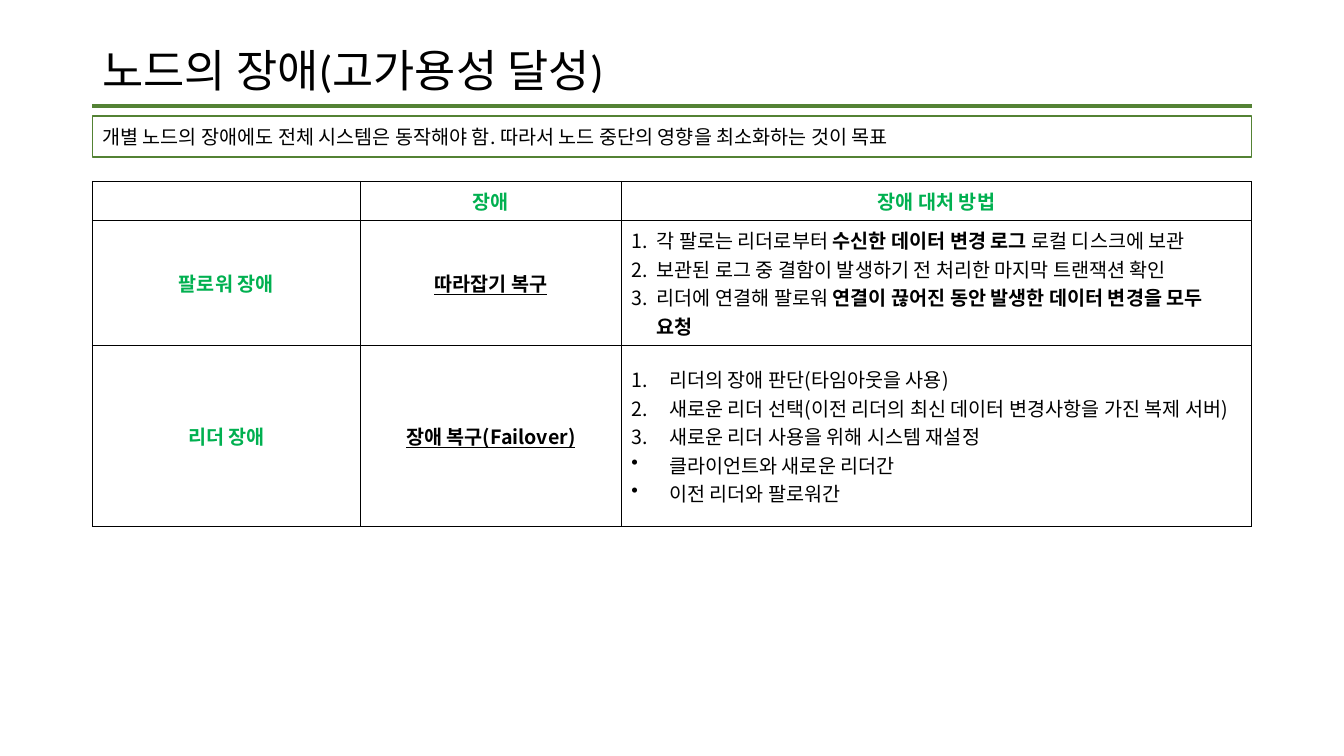
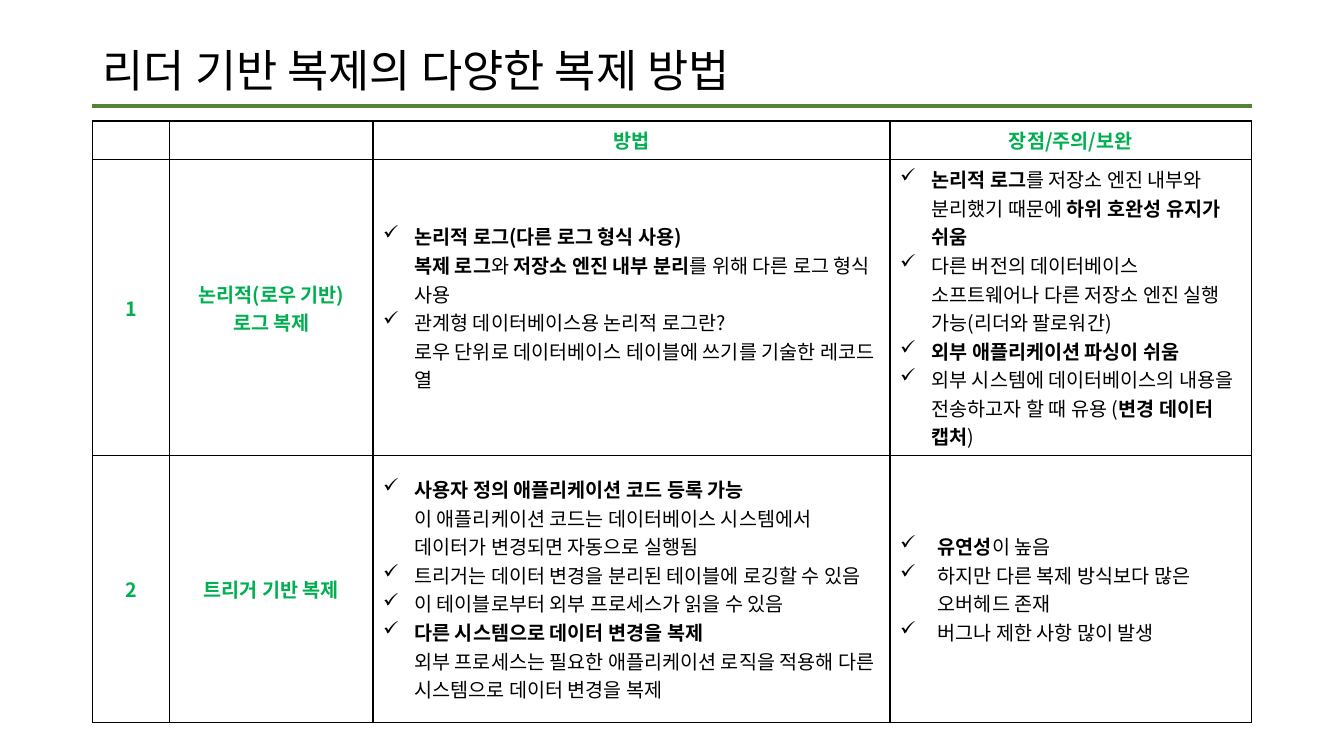
from lxml import etree
from pptx import Presentation
from pptx.dml.color import RGBColor
from pptx.enum.shapes import MSO_CONNECTOR, MSO_SHAPE
from pptx.enum.text import MSO_ANCHOR, PP_ALIGN
from pptx.oxml.ns import qn
from pptx.util import Cm, Pt

LEFT, CENTER = PP_ALIGN.LEFT, PP_ALIGN.CENTER
MIDDLE = MSO_ANCHOR.MIDDLE
STRAIGHT, RECTANGLE = MSO_CONNECTOR.STRAIGHT, MSO_SHAPE.RECTANGLE

color = RGBColor.from_string
BLACK, HEADING_GREEN = "000000", "00B050"
RULE_GREEN, NOTE_GREEN = "548235", "538234"
TITLE_FONT, BODY_FONT = "Calibri", "Noto Sans CJK KR"
MARGIN, CONTENT_WIDTH = Cm(2.33), Cm(29.21)
TITLE_TOP, TITLE_HEIGHT = Cm(1.02), Cm(1.65)
RULE_TOP = TITLE_TOP + TITLE_HEIGHT

# Cells: a string is a centred label; a tuple is (indent in cm, list items).
# Items are (bullet, text); text between ** marks is bold.
NUMBER, DOT, CHECK = "1.", "•", "✓"
SLIDES = [
    {
        "title": "노드의 장애(고가용성 달성)",
        "note": "개별 노드의 장애에도 전체 시스템은 동작해야 함. "
                "따라서 노드 중단의 영향을 최소화하는 것이 목표",
        "top": 4.57,
        "columns": [6.75, 6.58, 15.88],
        "rows": [0.98, 3.15, 4.56],
        "label_columns": 1,
        "cells": [
            ["", "장애", "장애 대처 방법"],
            ["팔로워 장애", "따라잡기 복구", (0.64, [
                (NUMBER, "각 팔로는 리더로부터 **수신한 데이터 변경 로그 **로컬 디스크에 보관"),
                (NUMBER, "보관된 로그 중 결함이 발생하기 전 처리한 마지막 트랜잭션 확인"),
                (NUMBER, "리더에 연결해 팔로워 **연결이 끊어진 동안 발생한 데이터 변경을 모두 요청**"),
            ])],
            ["리더 장애", "장애 복구(Failover)", (0.95, [
                (NUMBER, "리더의 장애 판단(타임아웃을 사용)"),
                (NUMBER, "새로운 리더 선택(이전 리더의 최신 데이터 변경사항을 가진 복제 서버)"),
                (NUMBER, "새로운 리더 사용을 위해 시스템 재설정"),
                (DOT, "클라이언트와 새로운 리더간"),
                (DOT, "이전 리더와 팔로워간"),
            ])],
        ],
    },
    {
        "title": "리더 기반 복제의 다양한 복제 방법",
        "note": None,
        "top": 3.05,
        "columns": [1.95, 5.12, 13.03, 9.11],
        "rows": [0.97, 7.46, 6.72],
        "label_columns": 2,
        "cells": [
            ["", "", "방법", "장점/주의/보완"],
            ["1", "논리적(로우 기반) 로그 복제", (0.79, [
                (CHECK, "**논리적 로그(다른 로그 형식 사용)\n복제 로그**와 "
                        "**저장소 엔진 내부 분리**를 위해 다른 로그 형식 사용"),
                (CHECK, "관계형 데이터베이스용 논리적 로그란?\n"
                        "로우 단위로 데이터베이스 테이블에 쓰기를 기술한 레코드 열"),
            ]), (0.79, [
                (CHECK, "**논리적 로그**를 저장소 엔진 내부와 분리했기 때문에 "
                        "**하위 호완성 유지가 쉬움**"),
                (CHECK, "다른 버전의 데이터베이스 소프트웨어나 다른 저장소 엔진 실행 "
                        "가능(리더와 팔로워간)"),
                (CHECK, "**외부 애플리케이션 파싱이 쉬움**"),
                (CHECK, "외부 시스템에 데이터베이스의 내용을 전송하고자 할 때 유용 "
                        "(**변경 데이터 캡처**)"),
            ])],
            ["2", "트리거 기반 복제", (0.79, [
                (CHECK, "**사용자 정의 애플리케이션 코드 등록 가능\n**이 애플리케이션 코드는 "
                        "데이터베이스 시스템에서 데이터가 변경되면 자동으로 실행됨"),
                (CHECK, "트리거는 데이터 변경을 분리된 테이블에 로깅할 수 있음"),
                (CHECK, "이 테이블로부터 외부 프로세스가 읽을 수 있음"),
                (CHECK, "**다른 시스템으로 데이터 변경을 복제\n**외부 프로세스는 필요한 "
                        "애플리케이션 로직을 적용해 다른 시스템으로 데이터 변경을 복제"),
            ]), (0.95, [
                (CHECK, "**유연성**이 높음"),
                (CHECK, "하지만 다른 복제 방식보다 많은 오버헤드 존재"),
                (CHECK, "버그나 제한 사항 많이 발생"),
            ])],
        ],
    },
]


def write_body(paragraph, text, text_color=BLACK, alignment=LEFT, bullet=None, indent=0):
    """Fill a 14-point paragraph, with ** toggling bold and an optional bullet."""
    paragraph.alignment = alignment
    paragraph.font.size = Pt(14)
    paragraph.font.name = BODY_FONT
    paragraph.font.color.rgb = color(text_color)
    properties = paragraph._p.get_or_add_pPr()
    east_asian = etree.SubElement(properties.find(qn("a:defRPr")), qn("a:ea"))
    east_asian.set("typeface", BODY_FONT)
    if bullet:
        properties.set("marL", str(Cm(indent)))
        properties.set("indent", str(-Cm(indent)))
        if bullet == NUMBER:
            marker = etree.Element(qn("a:buAutoNum"), type="arabicPeriod")
        else:
            marker = etree.Element(qn("a:buChar"), char=bullet)
        properties.insert(0, marker)
    for position, segment in enumerate(text.split("**")):
        for line_number, line in enumerate(segment.split("\n")):
            if line_number:
                paragraph.add_line_break()
            if line:
                run = paragraph.add_run()
                run.text = line
                if position % 2:
                    run.font.bold = True


def set_borders(cell):
    properties = cell._tc.get_or_add_tcPr()
    for position, side in enumerate(("lnL", "lnR", "lnT", "lnB")):
        border = etree.Element(qn(f"a:{side}"), w=str(Pt(1)))
        fill = etree.SubElement(border, qn("a:solidFill"))
        etree.SubElement(fill, qn("a:srgbClr"), val=BLACK)
        properties.insert(position, border)


presentation = Presentation()
presentation.slide_width, presentation.slide_height = Cm(33.87), Cm(19.05)
title_only = presentation.slide_layouts[5]

for content in SLIDES:
    slide = presentation.slides.add_slide(title_only)

    rule = slide.shapes.add_connector(
        STRAIGHT, MARGIN, RULE_TOP, MARGIN + CONTENT_WIDTH, RULE_TOP)
    rule.line.color.rgb = color(RULE_GREEN)
    rule.line.width = Pt(2.25)
    etree.SubElement(rule._element.spPr, qn("a:effectLst"))

    title = slide.shapes.title
    title.left, title.top = MARGIN, TITLE_TOP
    title.width, title.height = CONTENT_WIDTH, TITLE_HEIGHT
    title.text_frame.text = content["title"]
    title.text_frame.vertical_anchor = MIDDLE
    paragraph = title.text_frame.paragraphs[0]
    paragraph.alignment = LEFT
    paragraph.line_spacing = 0.9
    paragraph.font.size = Pt(32)
    paragraph.font.name = TITLE_FONT
    paragraph.font.color.rgb = color(BLACK)

    if content["note"]:
        note = slide.shapes.add_shape(
            RECTANGLE, MARGIN, Cm(2.92), CONTENT_WIDTH, Cm(1.04))
        note.shadow.inherit = False
        note.fill.background()
        note.line.color.rgb = color(NOTE_GREEN)
        note.line.width = Pt(1)
        note.text_frame.word_wrap = True
        note.text_frame.vertical_anchor = MIDDLE
        write_body(note.text_frame.paragraphs[0], content["note"])

    table = slide.shapes.add_table(
        len(content["rows"]), len(content["columns"]), MARGIN, Cm(content["top"]),
        CONTENT_WIDTH, Cm(sum(content["rows"]))).table
    table.first_row = table.horz_banding = False
    for column, width in zip(table.columns, content["columns"]):
        column.width = Cm(width)
    for row, height in zip(table.rows, content["rows"]):
        row.height = Cm(height)

    for row_index, row in enumerate(content["cells"]):
        for column_index, entry in enumerate(row):
            cell = table.cell(row_index, column_index)
            cell.fill.background()
            cell.vertical_anchor = MIDDLE
            set_borders(cell)
            paragraph = cell.text_frame.paragraphs[0]
            if isinstance(entry, str):
                is_heading = row_index == 0 or column_index < content["label_columns"]
                write_body(paragraph, entry, HEADING_GREEN if is_heading else BLACK, CENTER)
                paragraph.font.bold = True
                paragraph.font.underline = not is_heading
                continue
            indent, items = entry
            for item_index, (bullet, text) in enumerate(items):
                if item_index:
                    paragraph = cell.text_frame.add_paragraph()
                write_body(paragraph, text, bullet=bullet, indent=indent)

presentation.save("out.pptx")
